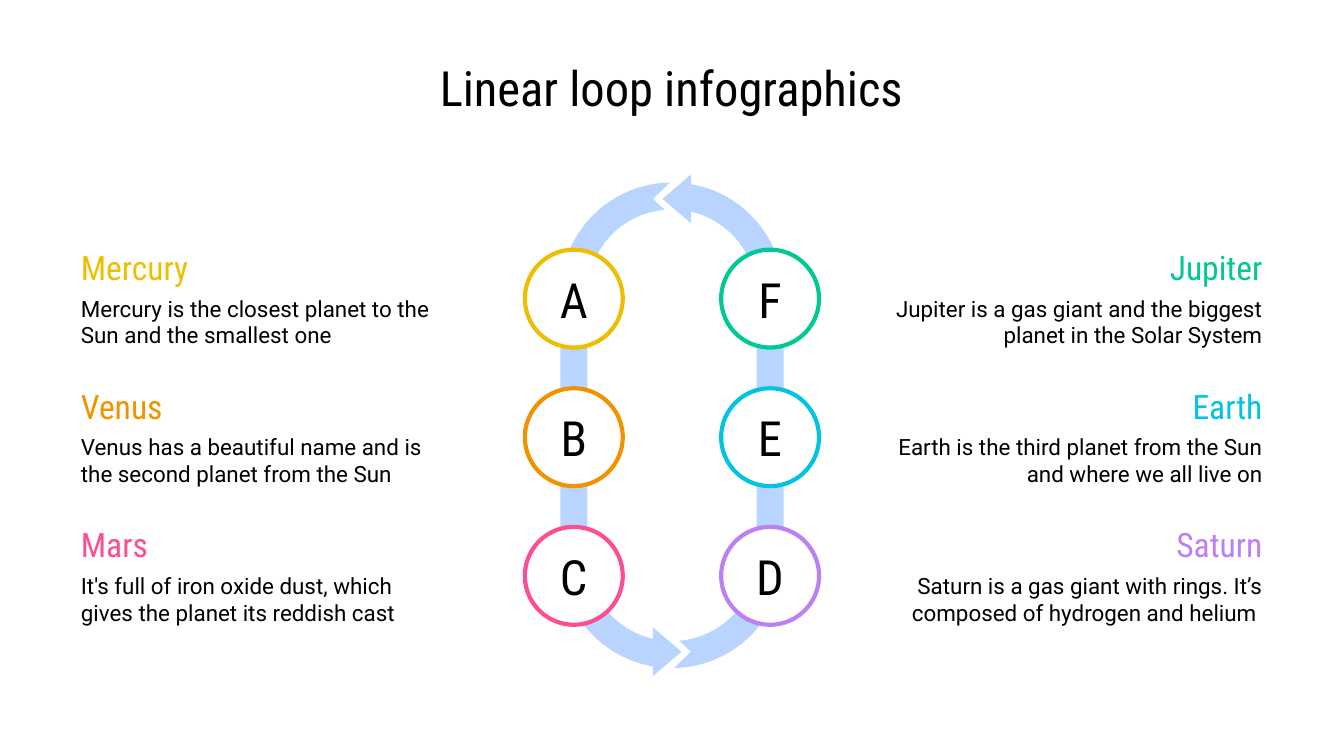
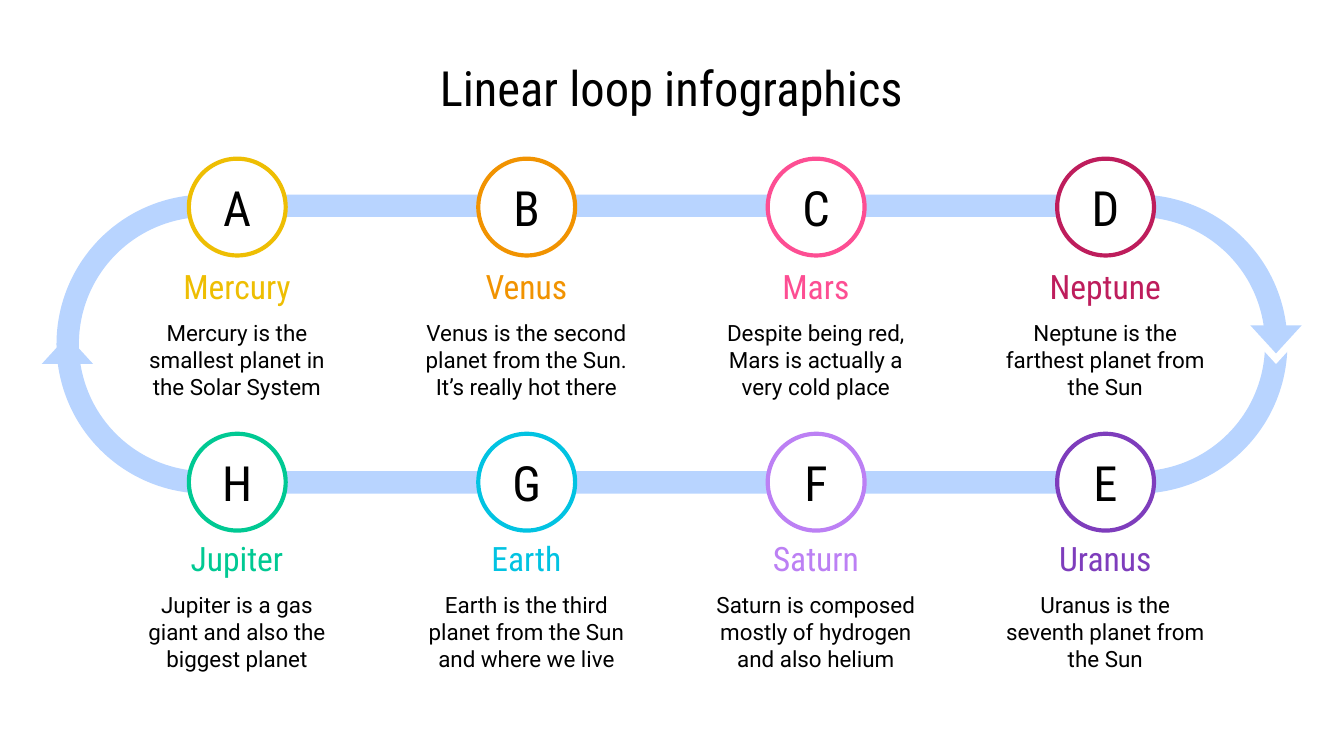
"""Build two linear loop slides about the planets."""
import math

import pptx
import pptx.dml.color
import pptx.enum.shapes
import pptx.enum.text
import pptx.util

Cm = pptx.util.Cm
Kind = pptx.enum.shapes.MSO_SHAPE
Side = pptx.enum.text.PP_ALIGN
Hold = pptx.enum.text.MSO_ANCHOR
rgb = pptx.dml.color.RGBColor.from_string

BLACK, WHITE, BAND = "000000", "FFFFFF", "B8D4FF"
THIN, PLAIN = "Roboto Condensed", "Roboto"
TITLE = "Linear loop infographics"
HUES = {
    "Mercury": "EEBE03", "Venus": "F19301", "Mars": "FD4E93",
    "Neptune": "BE1D5C", "Jupiter": "00C993", "Earth": "02C3E2",
    "Saturn": "BC80F4", "Uranus": "7E3DBC",
}


def paint(shape, fill=None, edge=None, width=2.25):
    shape.shadow.inherit = False
    if fill:
        shape.fill.solid()
        shape.fill.fore_color.rgb = rgb(fill)
    else:
        shape.fill.background()
    if edge:
        shape.line.color.rgb = rgb(edge)
        shape.line.width = pptx.util.Pt(width)
    else:
        shape.line.fill.background()


def write(shape, text, size, face, hue=BLACK, side=Side.CENTER, hold=Hold.MIDDLE):
    frame = shape.text_frame
    frame.word_wrap = True
    frame.vertical_anchor = hold
    frame.margin_left = frame.margin_right = Cm(0.25)
    frame.margin_top = frame.margin_bottom = Cm(0.25)
    para = frame.paragraphs[0]
    para.alignment = side
    run = para.add_run()
    run.text = text
    run.font.size = pptx.util.Pt(size)
    run.font.name = face
    run.font.color.rgb = rgb(hue)


deck = pptx.Presentation()
deck.slide_width, deck.slide_height = Cm(25.4), Cm(14.29)
tall, wide = [deck.slides.add_slide(deck.slide_layouts[6]).shapes for _ in range(2)]

# Upright loop
half = []
for radius, mid, start, stop in (
    (2.11, -2.48, 91, 180), (2.11, 2.48, 180, 264),
    (1.6, 2.48, 264, 180), (1.6, -2.48, 180, 95),
):
    for step in range(17):
        turn = math.radians(start + (stop - start) * step / 16)
        half.append((radius * math.cos(turn), mid - radius * math.sin(turn)))
half.append((-0.36, -4.28))
head = [(0.36, -4.74), (-0.18, -4.28), (0.36, -3.82)]

for sign in (1, -1):
    for part in (head, half):
        dots = [(Cm(12.7 + sign * x), Cm(8.04 + sign * y)) for x, y in part]
        form = tall.build_freeform(*dots[0])
        form.add_line_segments(dots[1:], close=True)
        paint(form.convert_to_shape(), BAND)

sides = (
    (9.92, 1.28, Side.LEFT, (
        ("A", "Mercury", "Mercury is the closest planet to the Sun and the smallest one"),
        ("B", "Venus", "Venus has a beautiful name and is the second planet from the Sun"),
        ("C", "Mars", "It's full of iron oxide dust, which gives the planet its reddish cast"),
    )),
    (13.63, 16.67, Side.RIGHT, (
        ("F", "Jupiter", "Jupiter is a gas giant and the biggest planet in the Solar System"),
        ("E", "Earth", "Earth is the third planet from the Sun and where we all live on"),
        ("D", "Saturn", "Saturn is a gas giant with rings. It’s composed of hydrogen and helium "),
    )),
)
for ring, left, side, items in sides:
    for row, (mark, name, text) in enumerate(items):
        top = 4.72 + 2.62 * row
        disc = tall.add_shape(Kind.OVAL, Cm(ring), Cm(top), Cm(1.85), Cm(1.85))
        paint(disc, WHITE, HUES[name])
        write(disc, mark, 26, THIN)
        body = tall.add_textbox(Cm(left), Cm(top + 0.73), Cm(7.44), Cm(1.26))
        write(body, text, 12, PLAIN, side=side)
        label = tall.add_textbox(Cm(left), Cm(top - 0.14), Cm(7.44), Cm(0.94))
        write(label, name, 18, THIN, HUES[name], side)

# Level loop
loop = wide.add_shape(Kind.ROUNDED_RECTANGLE, Cm(1.28), Cm(3.89), Cm(22.84), Cm(5.23))
loop.adjustments[0] = 0.5
paint(loop, edge=BAND, width=12)
for left, top, turn, fill in (
    (0.79, 6.35, 0, BAND), (23.63, 6.35, 180, WHITE), (23.63, 6.15, 180, BAND),
):
    tip = wide.add_shape(Kind.ISOSCELES_TRIANGLE, Cm(left), Cm(top), Cm(0.97), Cm(0.53))
    tip.rotation = turn
    paint(tip, fill)

rows = (
    (3.0, 4.93, 5.79, (
        ("A", "Mercury", "Mercury is the smallest planet in the Solar System"),
        ("B", "Venus", "Venus is the second planet from the Sun. It’s really hot there"),
        ("C", "Mars", "Despite being red, Mars is actually a very cold place"),
        ("D", "Neptune", "Neptune is the farthest planet from the Sun"),
    )),
    (8.2, 10.08, 10.93, (
        ("H", "Jupiter", "Jupiter is a gas giant and also the biggest planet"),
        ("G", "Earth", "Earth is the third planet from the Sun and where we live"),
        ("F", "Saturn", "Saturn is composed mostly of hydrogen and also helium"),
        ("E", "Uranus", "Uranus is the seventh planet from the Sun"),
    )),
)
for top, high, low, items in rows:
    for col, (mark, name, text) in enumerate(items):
        left = 2.31 + 5.47 * col
        disc = wide.add_shape(Kind.OVAL, Cm(left + 1.26), Cm(top), Cm(1.83), Cm(1.83))
        paint(disc, WHITE, HUES[name])
        write(disc, mark, 26, THIN)
        body = wide.add_textbox(Cm(left), Cm(low), Cm(4.34), Cm(2.06))
        write(body, text, 12, PLAIN, hold=Hold.TOP)
        label = wide.add_textbox(Cm(left), Cm(high), Cm(4.34), Cm(0.94))
        write(label, name, 18, THIN, HUES[name])

for shapes in (tall, wide):
    title = shapes.add_textbox(Cm(1.14), Cm(0.84), Cm(23.11), Cm(1.6))
    write(title, TITLE, 26, THIN)

deck.save("out.pptx")
